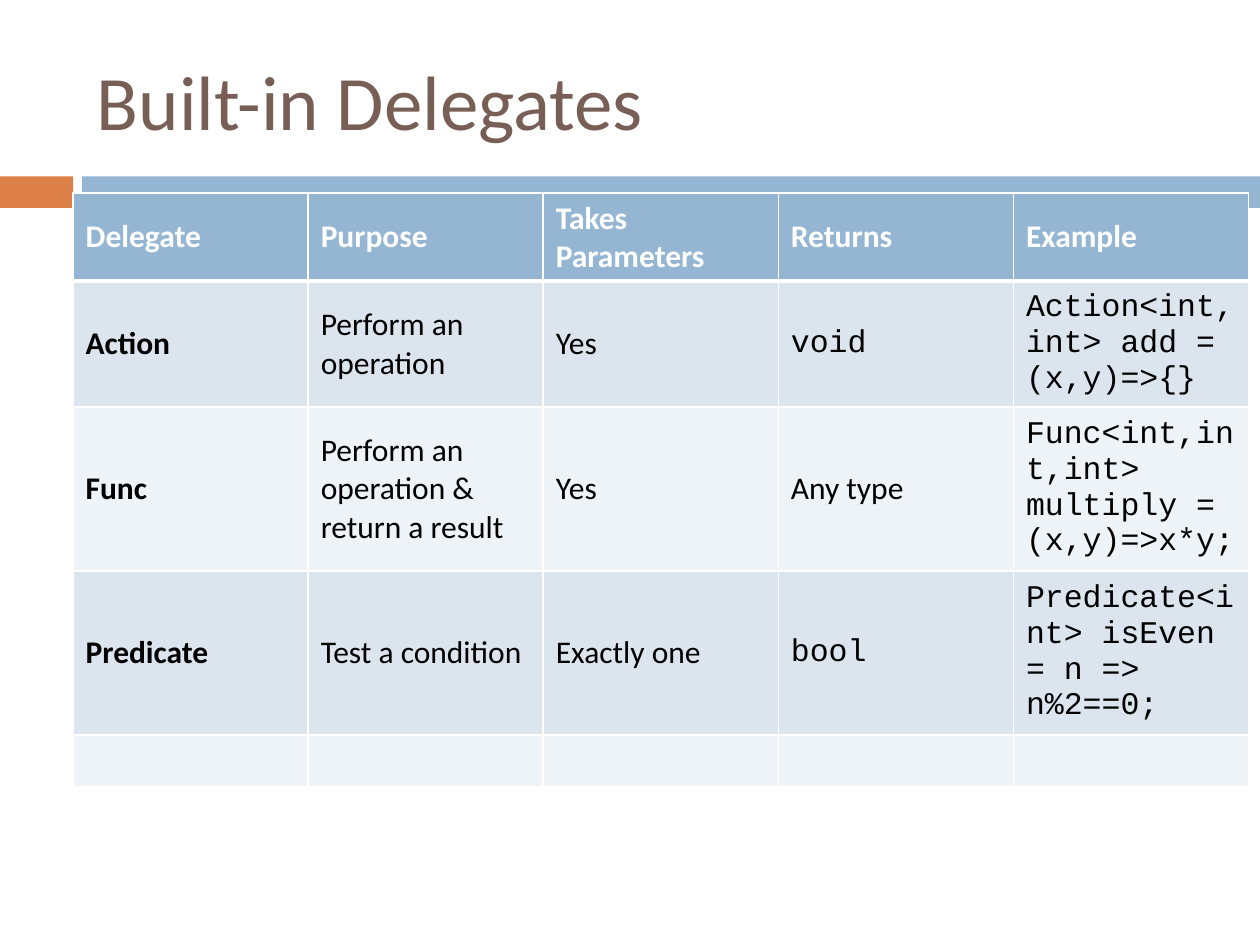
import pptx
import pptx.util
import pptx.dml.color
import pptx.enum.shapes
import pptx.enum.text
import pptx.oxml
import pptx.oxml.ns
import lxml.etree

WIDTH, HEIGHT = 10, 7.5
BLUE, ORANGE, BROWN = "94B6D2", "DD8047", "775F55"
BANDS = ("DCE5EE", "EEF3F7")
WHITE, BLACK = "FFFFFF", "000000"
SANS, MONO = "Calibri", "Courier New"

# Cells holding code are set in the monospaced font
CODE = {"void", "bool"}
EXAMPLE_COLUMN = 4
ROWS = [
    ["Delegate", "Purpose", "Takes Parameters", "Returns", "Example"],
    ["Action", "Perform an operation", "Yes", "void",
     "Action<int, int> add = (x,y)=>{}"],
    ["Func", "Perform an operation & return a result", "Yes", "Any type",
     "Func<int,int,int> multiply = (x,y)=>x*y;"],
    ["Predicate", "Test a condition", "Exactly one", "bool",
     "Predicate<int> isEven = n => n%2==0;"],
    [""] * 5,
]


def color(value):
    return pptx.dml.color.RGBColor.from_string(value)


def inches(box):
    return [pptx.util.Inches(v) for v in box]


def write(tf, text, size, font, ink, bold=False):
    tf.text = text
    for r in tf.paragraphs[0].runs:
        r.font.size = pptx.util.Pt(size)
        r.font.name = font
        r.font.bold = bold
        r.font.color.rgb = color(ink)


def add_band(s, box, gap):
    """Orange block up to the left margin, blue bar across the rest."""
    left, top, width, height = box
    margin = 0.58
    start = margin + gap
    for x, w, fill in ((left, margin, ORANGE),
                       (left + start, width - start, BLUE)):
        sp = s.shapes.add_shape(pptx.enum.shapes.MSO_SHAPE.RECTANGLE,
                                *inches((x, top, w, height)))
        sp.shadow.inherit = False
        sp.fill.solid()
        sp.fill.fore_color.rgb = color(fill)
        sp.line.fill.background()


def add_title(s, box, text):
    tf = s.shapes.add_textbox(*inches(box)).text_frame
    tf.word_wrap = True
    tf.vertical_anchor = pptx.enum.text.MSO_ANCHOR.MIDDLE
    write(tf, text, 44, SANS, BROWN)


def set_borders(cell, bottom):
    """White rules round a cell; they must come before its fill."""
    tcPr = cell._tc.get_or_add_tcPr()
    for side, points in (("L", 1), ("R", 1), ("T", 1), ("B", bottom)):
        ln = lxml.etree.SubElement(tcPr, pptx.oxml.ns.qn(f"a:ln{side}"),
                                   w=str(pptx.util.Pt(points)))
        fill = lxml.etree.SubElement(ln, pptx.oxml.ns.qn("a:solidFill"))
        lxml.etree.SubElement(fill, pptx.oxml.ns.qn("a:srgbClr"), val=WHITE)


def add_delegates(s, box, rows):
    frame = s.shapes.add_table(len(rows), len(rows[0]), *inches(box))
    table = frame.table
    for i, row in enumerate(rows):
        # Rows grow to fit their text
        table.rows[i].height = pptx.util.Inches(0.41)
        header = i == 0
        for j, text in enumerate(row):
            cell = table.cell(i, j)
            set_borders(cell, 3 if header else 1)
            cell.fill.solid()
            cell.fill.fore_color.rgb = color(
                BLUE if header else BANDS[(i - 1) % 2])
            cell.vertical_anchor = pptx.enum.text.MSO_ANCHOR.MIDDLE
            code = not header and (j == EXAMPLE_COLUMN or text in CODE)
            write(cell.text_frame, text, 18, MONO if code else SANS,
                  WHITE if header else BLACK, bold=header or j == 0)
    frame.height = pptx.util.Inches(box[3])


def main():
    prs = pptx.Presentation()
    prs.slide_width, prs.slide_height = inches((WIDTH, HEIGHT))
    s = prs.slides.add_slide(prs.slide_layouts[6])
    add_band(s, (0, 1.4, WIDTH, 0.25), gap=0.07)
    add_title(s, (0.67, 0.25, 8.92, 1.08), "Built-in Delegates")
    add_delegates(s, (0.58, 1.53, 9.33, 4.71), ROWS)
    prs.save("out.pptx")


if __name__ == "__main__":
    main()
